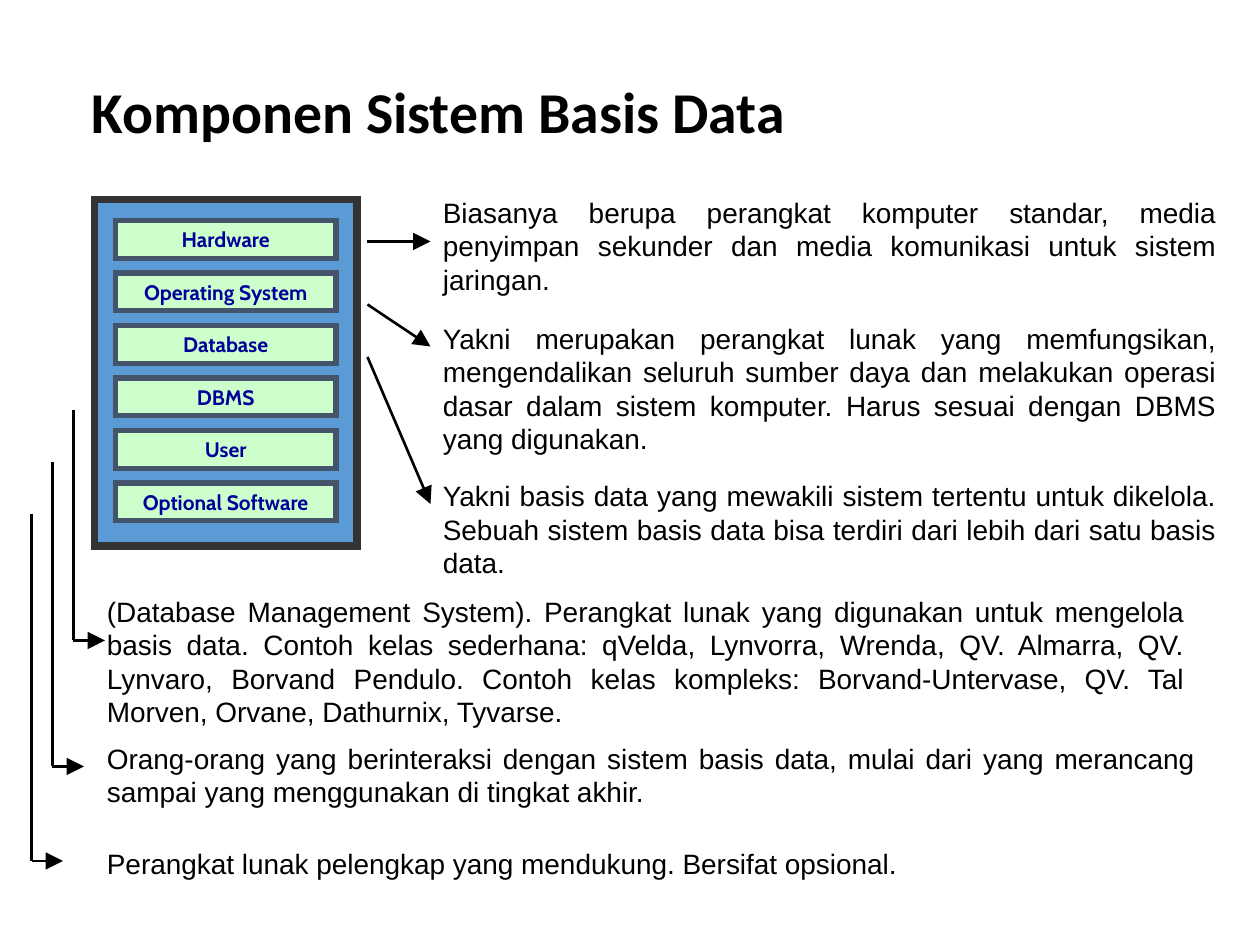
from dataclasses import dataclass

from lxml.etree import SubElement
from pptx import Presentation
from pptx.dml.color import RGBColor
from pptx.enum.shapes import MSO_CONNECTOR as Connector, MSO_SHAPE as Shape
from pptx.enum.text import MSO_ANCHOR as Anchor, PP_ALIGN as Align
from pptx.oxml.ns import qn
from pptx.util import Inches, Pt

COLUMNS, ROWS = 120, 90  # twelve grid steps to the inch


@dataclass(frozen=True)
class Theme:
    ink: RGBColor = RGBColor(0x00, 0x00, 0x00)
    panel: RGBColor = RGBColor(0x5B, 0x9B, 0xD5)
    panel_edge: RGBColor = RGBColor(0x33, 0x33, 0x33)
    label_fill: RGBColor = RGBColor(0xCC, 0xFF, 0xCC)
    label_edge: RGBColor = RGBColor(0x44, 0x54, 0x6A)
    label_ink: RGBColor = RGBColor(0x00, 0x00, 0x99)
    panel_line: float = 4.5
    label_line: float = 3
    arrow_line: float = 1.5
    title_size: float = 33
    label_size: float = 12
    body_size: float = 16


THEME = Theme()
TITLE_FONT = {"name": "Calibri", "size": Pt(THEME.title_size), "bold": True}
LABEL_FONT = {"name": "Cabin", "size": Pt(THEME.label_size), "bold": True}
BODY_FONT = {"name": "Arial", "size": Pt(THEME.body_size)}

COMPONENTS = ["Hardware", "Operating System", "Database", "DBMS", "User",
              "Optional Software"]

# (top, width, height) in grid steps, then the wording
RIGHT_NOTES = [
    (18, 76, 10.8, "Biasanya berupa perangkat komputer standar, media penyimpan "
     "sekunder dan media komunikasi untuk sistem jaringan."),
    (30, 76, 14, "Yakni merupakan perangkat lunak yang memfungsikan, mengendalikan "
     "seluruh sumber daya dan melakukan operasi dasar dalam sistem komputer. "
     "Harus sesuai dengan DBMS yang digunakan."),
    (45, 76, 10.8, "Yakni basis data yang mewakili sistem tertentu untuk dikelola. "
     "Sebuah sistem basis data bisa terdiri dari lebih dari satu basis data."),
]
LOWER_NOTES = [
    (56, 105, 14, "(Database Management System). Perangkat lunak yang digunakan untuk "
     "mengelola basis data. Contoh kelas sederhana: qVelda, Lynvorra, Wrenda, "
     "QV. Almarra, QV. Lynvaro, Borvand Pendulo. Contoh kelas kompleks: "
     "Borvand-Untervase, QV. Tal Morven, Orvane, Dathurnix, Tyvarse."),
    (70, 106, 7.7, "Orang-orang yang berinteraksi dengan sistem basis data, mulai dari "
     "yang merancang sampai yang menggunakan di tingkat akhir."),
    (80, 104, 4.4, "Perangkat lunak pelengkap yang mendukung. Bersifat opsional."),
]


def steps(*values):
    """Turn grid steps into slide lengths."""
    return [Inches(value / 12) for value in values]


def write(shape, wording, font, color, align, anchor):
    frame = shape.text_frame
    frame.word_wrap = True
    frame.vertical_anchor = anchor
    paragraph = frame.paragraphs[0]
    paragraph.text = wording
    paragraph.alignment = align
    for attribute, value in font.items():
        setattr(paragraph.font, attribute, value)
    paragraph.font.color.rgb = color
    return paragraph


def add_box(shapes, box, fill, edge, weight):
    """Filled rectangle with square corners on its outline."""
    rectangle = shapes.add_shape(Shape.RECTANGLE, *steps(*box))
    rectangle.shadow.inherit = False
    rectangle.fill.solid()
    rectangle.fill.fore_color.rgb = fill
    rectangle.line.color.rgb = edge
    rectangle.line.width = Pt(weight)
    outline = rectangle._element.spPr.find(qn("a:ln"))
    SubElement(outline, qn("a:miter"), lim="800000")
    return rectangle


def add_line(shapes, start, end, arrow=True):
    line = shapes.add_connector(Connector.STRAIGHT, *steps(*start, *end))
    line.line.color.rgb = THEME.ink
    line.line.width = Pt(THEME.arrow_line)
    properties = line._element.spPr
    if arrow:
        SubElement(properties.find(qn("a:ln")), qn("a:tailEnd"),
                   type="triangle", w="lg", len="lg")
    SubElement(properties, qn("a:effectLst"))


def add_title(slide, box):
    title = slide.shapes.add_textbox(*steps(*box))
    paragraph = write(title, "Komponen Sistem Basis Data", TITLE_FONT, THEME.ink,
                      Align.LEFT, Anchor.MIDDLE)
    paragraph.line_spacing = 0.9


def add_component_stack(slide, box):
    """Panel with one label per component, a fixed pitch apart."""
    left, top, width, _ = box
    margin, pitch, height = 2, 5, 3.6
    add_box(slide.shapes, box, THEME.panel, THEME.panel_edge, THEME.panel_line)
    labels = slide.shapes.add_group_shape().shapes
    for row, component in enumerate(COMPONENTS):
        label_box = (left + margin, top + margin + row * pitch,
                     width - 2 * margin, height)
        label = add_box(labels, label_box, THEME.label_fill, THEME.label_edge,
                        THEME.label_line)
        write(label, component, LABEL_FONT, THEME.label_ink, Align.CENTER,
              Anchor.MIDDLE)


def add_notes(slide, left, notes):
    for top, width, height, wording in notes:
        note = slide.shapes.add_textbox(*steps(left, top, width, height))
        write(note, wording, BODY_FONT, THEME.ink, Align.JUSTIFY, Anchor.TOP)


def add_right_arrows(slide, stack):
    left, top, width, _ = stack
    start_x = left + width + 1
    for start, end in [(4, 4), (10, 14), (15, 29)]:
        add_line(slide.shapes, (start_x, top + start), (start_x + 6, top + end))


def add_elbow_arrows(slide, stack):
    """Bent arrows down the left side, each further out than the last."""
    left, top, _, _ = stack
    for order, drop in enumerate([42, 54, 63]):
        x, start_y, end_y = left - 2 - 2 * order, top + 20 + 5 * order, top + drop
        elbow = slide.shapes.add_group_shape().shapes
        add_line(elbow, (x, end_y), (x + 3, end_y))
        add_line(elbow, (x, start_y), (x, end_y), arrow=False)


def main():
    deck = Presentation()
    deck.slide_width, deck.slide_height = steps(COLUMNS, ROWS)
    slide = deck.slides.add_slide(deck.slide_layouts[6])
    stack = (9, 19, 25, 33)
    add_title(slide, (7.56, 3.4, 108, 15))
    add_component_stack(slide, stack)
    add_notes(slide, 41, RIGHT_NOTES)
    add_notes(slide, 9, LOWER_NOTES)
    add_right_arrows(slide, stack)
    add_elbow_arrows(slide, stack)
    deck.save("out.pptx")


if __name__ == "__main__":
    main()
